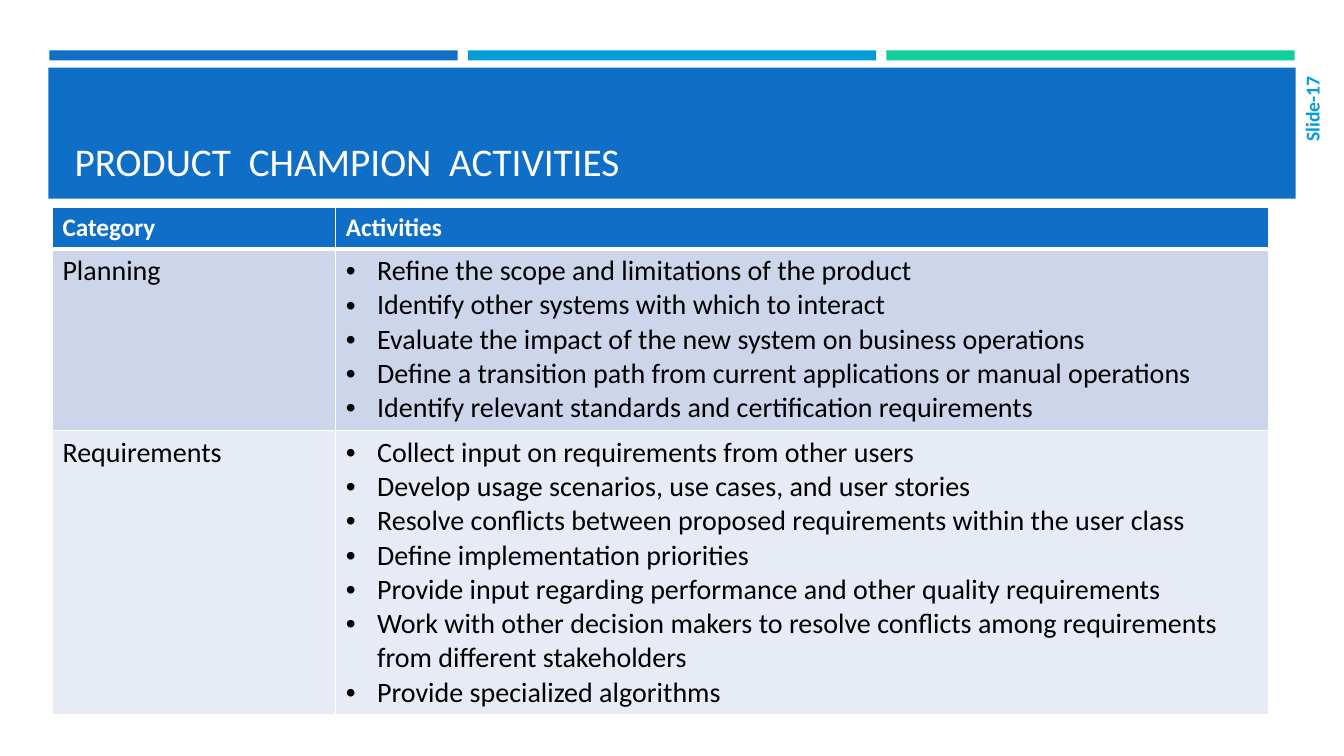
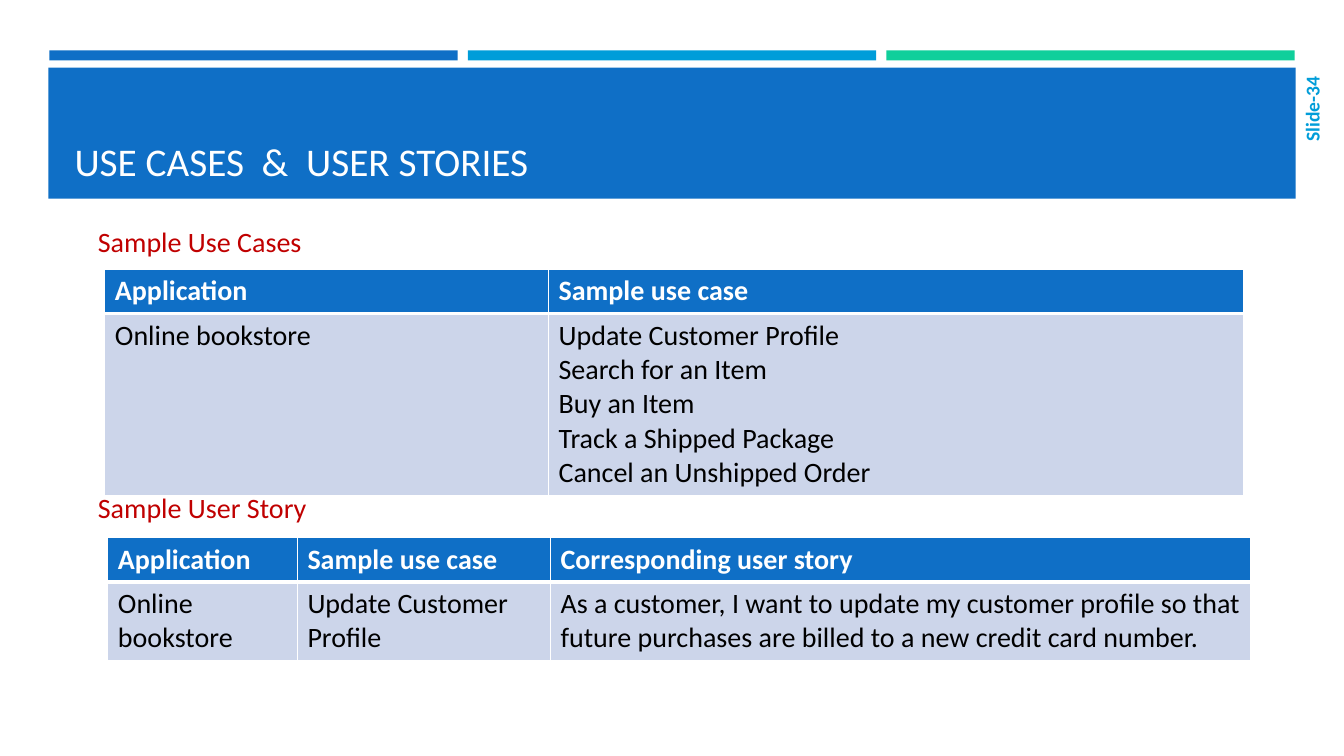
from lxml import etree
from pptx import Presentation
from pptx.dml.color import RGBColor
from pptx.enum import shapes, text
from pptx.oxml import ns
from pptx.util import Inches, Pt

FONT = "Calibri"
BLUE, SKY, GREEN = "0F6FC6", "009DD9", "10CF9B"
WHITE, BLACK, RED = "FFFFFF", "000000", "C00000"
ROWS = ("CCD5EA", "E7EBF5")

PLAN = [
    "Refine the scope and limitations of the product",
    "Identify other systems with which to interact",
    "Evaluate the impact of the new system on business operations",
    "Define a transition path from current applications or manual operations",
    "Identify relevant standards and certification requirements",
]
NEEDS = [
    "Collect input on requirements from other users",
    "Develop usage scenarios, use cases, and user stories",
    "Resolve conflicts between proposed requirements within the user class",
    "Define implementation priorities",
    "Provide input regarding performance and other quality requirements",
    "Work with other decision makers to resolve conflicts among requirements "
    "from different stakeholders",
    "Provide specialized algorithms",
]
CASES = [
    "Update Customer Profile",
    "Search for an Item",
    "Buy an Item",
    "Track a Shipped Package",
    "Cancel an Unshipped Order",
]
STORY = ("As a customer, I want to update my customer profile so that "
         "future purchases are billed to a new credit card number.")

# A list in a cell holds one paragraph per item.
SLIDES = [
    dict(title="PRODUCT  CHAMPION  ACTIVITIES", number=17, heads=[], tables=[
        dict(at=(0.52, 2.06), cols=(2.81, 9.25), rows=(0.41, 1.79, 2.82),
             size=18, bullets=True,
             cells=[["Category", "Activities"],
                    ["Planning", PLAN],
                    ["Requirements", NEEDS]]),
    ]),
    dict(title="USE CASES  &  USER STORIES", number=34,
         heads=["Sample Use Cases", "Sample User Story"], tables=[
        dict(at=(1.04, 2.67), cols=(4.4, 6.89), rows=(0.44, 1.79),
             size=20, bullets=False,
             cells=[["Application", "Sample use case"],
                    ["Online bookstore", CASES]]),
        dict(at=(1.07, 5.33), cols=(1.88, 2.51, 6.94), rows=(0.44, 0.78),
             size=20, bullets=False,
             cells=[["Application", "Sample use case",
                     "Corresponding user story"],
                    ["Online bookstore", "Update Customer Profile", STORY]]),
    ]),
]


def rgb(code):
    return RGBColor.from_string(code)


def place(shape, *box):
    shape.left, shape.top, shape.width, shape.height = map(Inches, box)


def style(para, size, color, bold=False):
    for run in para.runs:
        run.font.name, run.font.size = FONT, Pt(size)
        run.font.bold, run.font.color.rgb = bold, rgb(color)


def mark(para, indent, hang, char=None):
    """Set the left indent and the bullet, or no bullet."""
    props = para._p.get_or_add_pPr()
    props.set("marL", str(Inches(indent)))
    props.set("indent", str(-Inches(hang)))
    if char:
        font = etree.SubElement(props, ns.qn("a:buFont"))
        font.set("typeface", "Arial")
        etree.SubElement(props, ns.qn("a:buChar")).set("char", char)
    else:
        etree.SubElement(props, ns.qn("a:buNone"))


def border(cell, side, width):
    line = etree.SubElement(cell._tc.get_or_add_tcPr(), ns.qn("a:ln" + side))
    line.set("w", str(Pt(width)))
    fill = etree.SubElement(line, ns.qn("a:solidFill"))
    etree.SubElement(fill, ns.qn("a:srgbClr")).set("val", WHITE)


def dress(master, slide):
    """Put the bands and the title's place on the master."""
    step, width = 4.15, 4.05
    bands = [(0.49 + i * step, 0.5, width, 0.1, color)
             for i, color in enumerate((BLUE, SKY, GREEN))]
    bands.append((0.48, 0.67, 12.37, 1.3, BLUE))
    for i, (*box, color) in enumerate(bands):
        band = slide.shapes.add_shape(shapes.MSO_SHAPE.RECTANGLE,
                                      *map(Inches, box))
        band.shadow.inherit = False
        band.fill.solid()
        band.fill.fore_color.rgb = rgb(color)
        band.line.fill.background()
        master.shapes._spTree.insert(2 + i, band._element)
    for holder in master.placeholders:
        if holder.placeholder_format.type == shapes.PP_PLACEHOLDER.TITLE:
            place(holder, 0.64, 0.77, 12.06, 1.11)


def add_title(slide, words):
    frame = slide.shapes.title.text_frame
    frame.text = words
    frame.auto_size = text.MSO_AUTO_SIZE.NONE
    frame.vertical_anchor = text.MSO_ANCHOR.BOTTOM
    para = frame.paragraphs[0]
    para.alignment = text.PP_ALIGN.LEFT
    style(para, 28, WHITE)


def add_number(slide, number):
    box = slide.shapes.add_textbox(*map(Inches, (12.87, 0.66, 0.28, 0.98)))
    frame = box.text_frame
    frame.text = f"Slide-{number}"
    frame.word_wrap = True
    frame.vertical_anchor = text.MSO_ANCHOR.MIDDLE
    frame._txBody.bodyPr.set("vert", "vert270")
    para = frame.paragraphs[0]
    para.alignment = text.PP_ALIGN.RIGHT
    style(para, 14, SKY, True)


def add_heads(slide, heads):
    body = slide.placeholders[1]
    place(body, 0.62, 2.18, 12.06, 4.02)
    frame = body.text_frame
    frame.text = "\n".join(heads)
    frame.auto_size = text.MSO_AUTO_SIZE.NONE
    for i, para in enumerate(frame.paragraphs):
        para.space_before, para.space_after = Pt(166 * i), Pt(0)
        mark(para, 0.25, 0)
        style(para, 20, RED)


def add_grid(slide, at, cols, rows, size, bullets, cells):
    box = (*at, sum(cols), sum(rows))
    table = slide.shapes.add_table(len(rows), len(cols),
                                   *map(Inches, box)).table
    for col, width in zip(table.columns, cols):
        col.width = Inches(width)
    for r, height in enumerate(rows):
        table.rows[r].height = Inches(height)
        for c, words in enumerate(cells[r]):
            cell = table.cell(r, c)
            many = isinstance(words, list)
            cell.text = "\n".join(words) if many else words
            for side in "LRTB":
                thick = (r, side) in ((0, "B"), (1, "T"))
                border(cell, side, 3 if thick else 1)
            cell.fill.solid()
            cell.fill.fore_color.rgb = rgb(ROWS[(r - 1) % 2] if r else BLUE)
            for para in cell.text_frame.paragraphs:
                if r:
                    style(para, 20, BLACK)
                else:
                    style(para, size, WHITE, True)
                if many and bullets:
                    mark(para, 0.31, 0.31, "•")


def main():
    deck = Presentation()
    deck.slide_width, deck.slide_height = Inches(13.33), Inches(7.5)
    for i, page in enumerate(SLIDES):
        name = "Title and Content" if page["heads"] else "Title Only"
        slide = deck.slides.add_slide(deck.slide_layouts.get_by_name(name))
        if i == 0:
            dress(deck.slide_master, slide)
        add_title(slide, page["title"])
        if page["heads"]:
            add_heads(slide, page["heads"])
        for grid in page["tables"]:
            add_grid(slide, **grid)
        add_number(slide, page["number"])
    deck.save("out.pptx")


if __name__ == "__main__":
    main()
